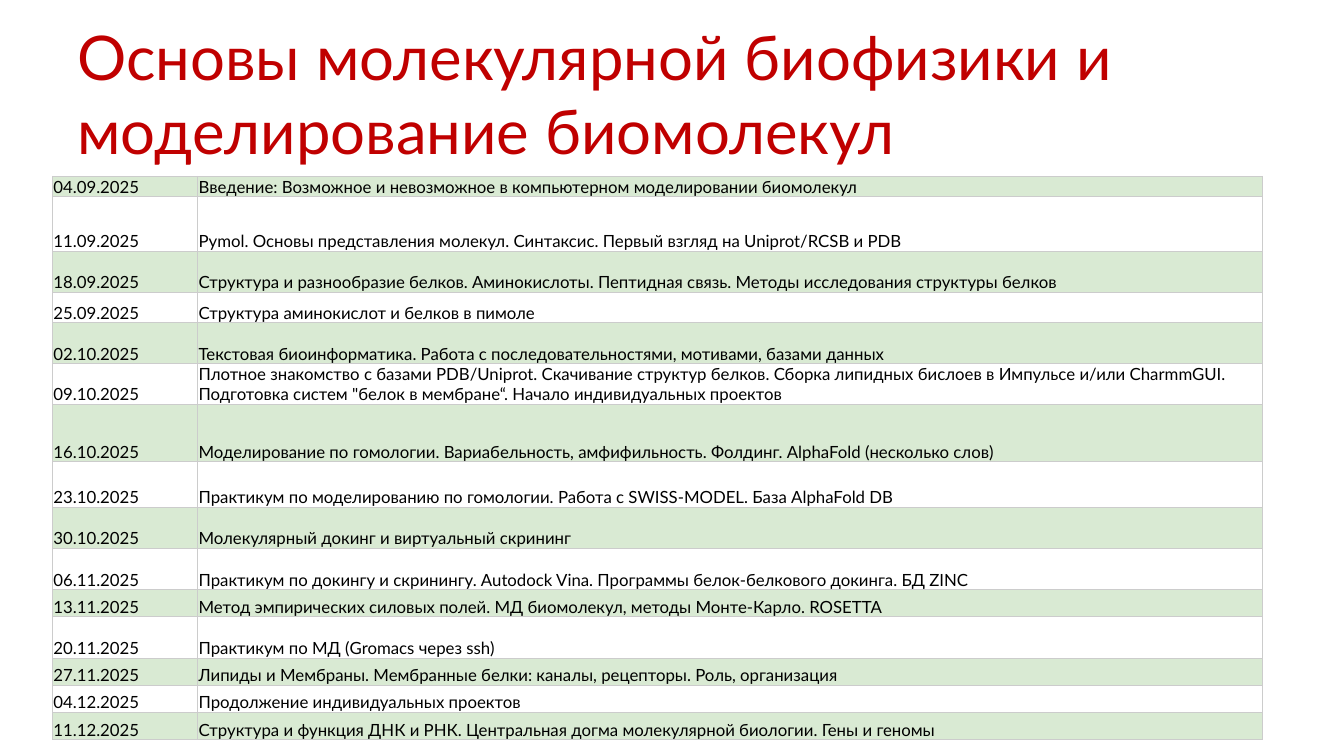
from lxml import etree
from pptx import Presentation
from pptx.dml.color import RGBColor
from pptx.enum.text import MSO_ANCHOR
from pptx.oxml.ns import qn
from pptx.util import Inches, Pt

MIDDLE, BOTTOM = MSO_ANCHOR.MIDDLE, MSO_ANCHOR.BOTTOM
RED = RGBColor(0xC0, 0x00, 0x00)
BLACK = RGBColor(0x00, 0x00, 0x00)
GREEN = RGBColor(0xD9, 0xEA, 0xD3)
GRAY = RGBColor(0xCC, 0xCC, 0xCC)
FONT = "Lato"

TITLE = "Основы молекулярной биофизики и моделирование биомолекул"
WIDTHS = (1.44, 10.56)
PLAN = [
    (0.19, "04.09.2025", "Введение: Возможное и невозможное в компьютерном моделировании биомолекул"),
    (0.54, "11.09.2025", "Pymol. Основы представления молекул. Синтаксис. Первый взгляд на Uniprot/RCSB и PDB"),
    (0.41, "18.09.2025", "Структура и разнообразие белков. Аминокислоты. Пептидная связь. "
     "Методы исследования структуры белков"),
    (0.3, "25.09.2025", "Структура аминокислот и белков в пимоле"),
    (0.41, "02.10.2025", "Текстовая биоинформатика. Работа с последовательностями, мотивами, базами данных"),
    (0.3, "09.10.2025", "Плотное знакомство с базами PDB/Uniprot. Скачивание структур белков. "
     "Сборка липидных бислоев в Импульсе и/или CharmmGUI. "
     "Подготовка систем \"белок в мембране“. Начало индивидуальных проектов"),
    (0.57, "16.10.2025", "Моделирование по гомологии. Вариабельность, амфифильность. "
     "Фолдинг. AlphaFold (несколько слов)"),
    (0.45, "23.10.2025", "Практикум по моделированию по гомологии. Работа с SWISS-MODEL. База AlphaFold DB"),
    (0.41, "30.10.2025", "Молекулярный докинг и виртуальный скрининг"),
    (0.41, "06.11.2025", "Практикум по докингу и скринингу. Autodock Vina. "
     "Программы белок-белкового докинга. БД ZINC"),
    (0.27, "13.11.2025", "Метод эмпирических силовых полей. МД биомолекул, методы Монте-Карло. ROSETTA"),
    (0.41, "20.11.2025", "Практикум по МД (Gromacs через ssh)"),
    (0.27, "27.11.2025", "Липиды и Мембраны. Мембранные белки: каналы, рецепторы. Роль, организация"),
    (0.27, "04.12.2025", "Продолжение индивидуальных проектов"),
    (0.27, "11.12.2025", "Структура и функция ДНК и РНК. Центральная догма молекулярной биологии. Гены и геномы"),
]


def style(frame, size, color):
    for run in frame.paragraphs[0].runs:
        run.font.name = FONT
        run.font.size = Pt(size)
        run.font.color.rgb = color


def add_title(slide):
    box = slide.shapes.add_textbox(Inches(0.67), Inches(0.3), Inches(12), Inches(1.25))
    frame = box.text_frame
    frame.word_wrap = True
    frame.vertical_anchor = MIDDLE
    frame.text = TITLE
    style(frame, 44, RED)


def add_edges(cell):
    props = cell._tc.get_or_add_tcPr()
    for spot, side in enumerate(("lnL", "lnR", "lnT", "lnB")):
        line = etree.Element(qn("a:" + side), w=str(Pt(0.75)))
        fill = etree.SubElement(line, qn("a:solidFill"))
        etree.SubElement(fill, qn("a:srgbClr"), val=str(GRAY))
        props.insert(spot, line)


def fill_cell(cell, text, shaded):
    cell.margin_left = cell.margin_right = Inches(0.01)
    cell.margin_top = cell.margin_bottom = 0
    cell.vertical_anchor = BOTTOM
    cell.text_frame.text = text
    style(cell.text_frame, 12, BLACK)
    if shaded:
        cell.fill.solid()
        cell.fill.fore_color.rgb = GREEN
    else:
        cell.fill.background()
    add_edges(cell)


def add_plan(slide):
    height = sum(row[0] for row in PLAN)
    frame = slide.shapes.add_table(len(PLAN), len(WIDTHS), Inches(0.52), Inches(1.75),
                                   Inches(sum(WIDTHS)), Inches(height))
    table = frame.table
    table.first_row = table.horz_banding = False
    for col, width in zip(table.columns, WIDTHS):
        col.width = Inches(width)
    for r, (height, *texts) in enumerate(PLAN):
        table.rows[r].height = Inches(height)
        for c, text in enumerate(texts):
            fill_cell(table.cell(r, c), text, r % 2 == 0)


def main():
    deck = Presentation()
    deck.slide_width, deck.slide_height = Inches(13.33), Inches(7.5)
    slide = deck.slides.add_slide(deck.slide_layouts[6])
    add_title(slide)
    add_plan(slide)
    deck.save("out.pptx")


if __name__ == "__main__":
    main()
